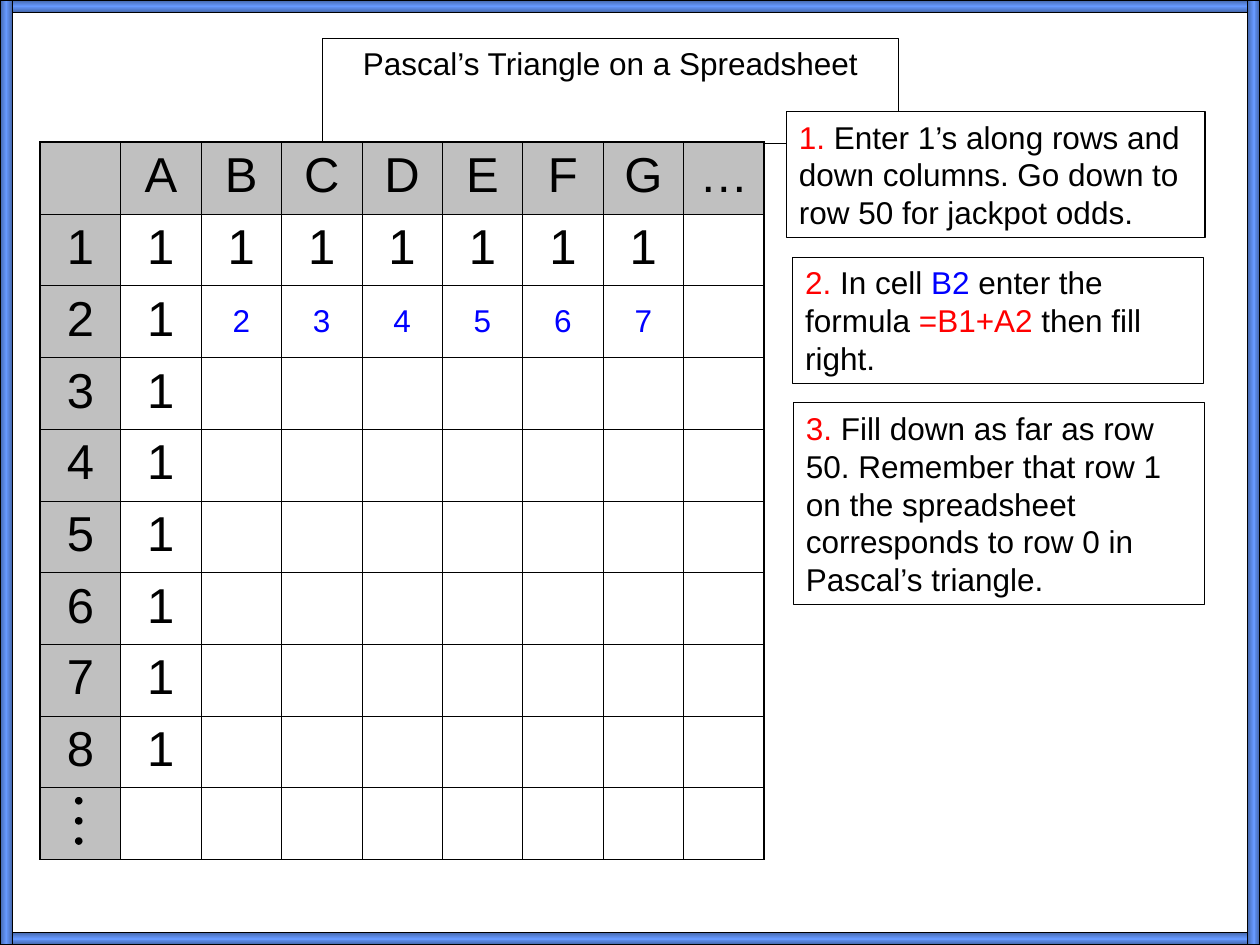
import copy

import pptx
import pptx.dml.color
import pptx.enum.shapes
import pptx.enum.text
import pptx.oxml
import pptx.oxml.ns
import pptx.util

Pt = pptx.util.Pt
RGBColor = pptx.dml.color.RGBColor
SHAPES = pptx.enum.shapes.MSO_SHAPE
ALIGN = pptx.enum.text.PP_ALIGN
ANCHOR = pptx.enum.text.MSO_ANCHOR
AUTO_SIZE = pptx.enum.text.MSO_AUTO_SIZE

BLACK = RGBColor(0, 0, 0)
WHITE = RGBColor(255, 255, 255)
RED = RGBColor(255, 0, 0)
BLUE = RGBColor(0, 0, 255)
GREY = RGBColor(0xC0, 0xC0, 0xC0)
FRAME_DARK = RGBColor(0x43, 0x65, 0xA8)
FRAME_LIGHT = RGBColor(0x66, 0x99, 0xFF)
FONT = "Arial"

WIDTH, HEIGHT, FRAME = 720, 540, 7.2
TITLE = "Pascal’s Triangle on a Spreadsheet"
TITLE_AREA = (184.3, 21.8, 329, 28.8)

SHEET = [
    ["", *"ABCDEFG", "…"],
    ["1", *["1"] * 7],
    ["2", "1", *"234567"],
    *[[str(number), "1"] for number in range(3, 9)],
    [""],
]
FORMULA_ROW, FORMULA_COLUMNS = 2, range(2, 8)
SHEET_LEFT, SHEET_TOP, COLUMN, ROW = 23, 81.3, 45.95, 41
THIN, THICK = 0.45, 1.08
DOT, DOT_LEFT, DOT_TOP, DOT_STEP = 3.6, 43.2, 455.8, 11.5

STEPS = [
    ((449.4, 63.7, 239.2, 72), [
        ("1.", RED),
        (" Enter 1’s along rows and down columns. Go down to row 50 for jackpot odds.", BLACK)]),
    ((453, 147, 234.7, 72), [
        ("2.", RED), (" In cell ", BLACK), ("B2 ", BLUE), ("enter the formula ", BLACK),
        ("=B1+A2", RED), (" then fill right.", BLACK)]),
    ((453.5, 230.2, 234.7, 115.2), [
        ("3.", RED),
        (" Fill down as far as row 50. Remember that row 1 on the spreadsheet "
         "corresponds to row 0 in Pascal’s triangle.", BLACK)]),
]

FRAME_BARS = [
    ((0, 0, WIDTH, FRAME), 90),
    ((0, HEIGHT - FRAME, WIDTH, FRAME), 90),
    ((0, 0, FRAME, HEIGHT), 0),
    ((WIDTH - FRAME, 0, FRAME, HEIGHT), 0),
]


def points(area):
    return [Pt(value) for value in area]


def format_font(font, size, color):
    font.name, font.size, font.bold = FONT, Pt(size), False
    font.color.rgb = color


def outline(shape):
    shape.line.color.rgb = BLACK
    shape.line.width = Pt(0.75)


def format_frame(frame):
    frame.word_wrap = True
    frame.auto_size = AUTO_SIZE.SHAPE_TO_FIT_TEXT
    frame.vertical_anchor = ANCHOR.TOP
    frame.margin_left = frame.margin_right = Pt(7.2)
    frame.margin_top = frame.margin_bottom = Pt(3.6)


def add_title(page):
    title = page.shapes.title
    title.left, title.top, title.width, title.height = points(TITLE_AREA)
    outline(title)
    title.text_frame.text = TITLE
    format_frame(title.text_frame)
    paragraph = title.text_frame.paragraphs[0]
    paragraph.alignment = ALIGN.CENTER
    format_font(paragraph.runs[0].font, 18, BLACK)


def set_borders(cell, widths):
    properties = cell._tc.get_or_add_tcPr()
    for index, (side, width) in enumerate(widths.items()):
        properties.insert(index, pptx.oxml.parse_xml(
            f'<a:ln{side} {pptx.oxml.ns.nsdecls("a")} w="{int(Pt(width))}">'
            f'<a:solidFill><a:srgbClr val="{BLACK}"/></a:solidFill></a:ln{side}>'))


def add_sheet(page):
    rows, columns = len(SHEET), len(SHEET[0])
    area = points((SHEET_LEFT, SHEET_TOP, COLUMN * columns, ROW * rows))
    table = page.shapes.add_table(rows, columns, *area).table
    table.first_row = table.horz_banding = False
    for column in table.columns:
        column.width = Pt(COLUMN)
    for row in table.rows:
        row.height = Pt(ROW)
    for r in range(rows):
        for c in range(columns):
            cell = table.cell(r, c)
            if r == 0 or c == 0:
                cell.fill.solid()
                cell.fill.fore_color.rgb = GREY
            else:
                cell.fill.background()
            set_borders(cell, {
                "L": THICK if c == 0 else THIN,
                "R": THICK if c == columns - 1 else THIN,
                "T": THICK if r == 0 else THIN,
                "B": THICK if r == rows - 1 else THIN})
            text = SHEET[r][c] if c < len(SHEET[r]) else ""
            if not text:
                continue
            cell.text_frame.text = text
            paragraph = cell.text_frame.paragraphs[0]
            paragraph.alignment = ALIGN.CENTER
            if r == FORMULA_ROW and c in FORMULA_COLUMNS:
                cell.vertical_anchor = ANCHOR.MIDDLE
                format_font(paragraph.runs[0].font, 18, BLUE)
            else:
                format_font(paragraph.runs[0].font, 28, BLACK)


def add_dots(page):
    for index in range(3):
        area = points((DOT_LEFT, DOT_TOP + index * DOT_STEP, DOT, DOT))
        dot = page.shapes.add_shape(SHAPES.OVAL, *area)
        dot.shadow.inherit = False
        dot.fill.solid()
        dot.fill.fore_color.rgb = BLACK
        outline(dot)


def add_step(page, area, spans):
    box = page.shapes.add_textbox(*points(area))
    box.fill.solid()
    box.fill.fore_color.rgb = WHITE
    outline(box)
    format_frame(box.text_frame)
    paragraph = box.text_frame.paragraphs[0]
    for text, color in spans:
        span = paragraph.add_run()
        span.text = text
        format_font(span.font, 18, color)


def add_frame_bar(page, area, angle):
    bar = page.shapes.add_shape(SHAPES.RECTANGLE, *points(area))
    bar.shadow.inherit = False
    outline(bar)
    bar.fill.gradient()
    bar.fill.gradient_angle = angle
    stops = bar._element.xpath(".//a:gsLst")[0]
    stops.append(copy.deepcopy(stops[-1]))
    colors = (FRAME_DARK, FRAME_LIGHT, FRAME_DARK)
    for index, (stop, color) in enumerate(zip(bar.fill.gradient_stops, colors)):
        stop.position = index / 2
        stop.color.rgb = color


def main():
    deck = pptx.Presentation()
    deck.slide_width, deck.slide_height = Pt(WIDTH), Pt(HEIGHT)
    page = deck.slides.add_slide(deck.slide_layouts[5])
    add_title(page)
    add_sheet(page)
    add_dots(page)
    for area, spans in STEPS:
        add_step(page, area, spans)
    for area, angle in FRAME_BARS:
        add_frame_bar(page, area, angle)
    deck.save("out.pptx")


if __name__ == "__main__":
    main()
